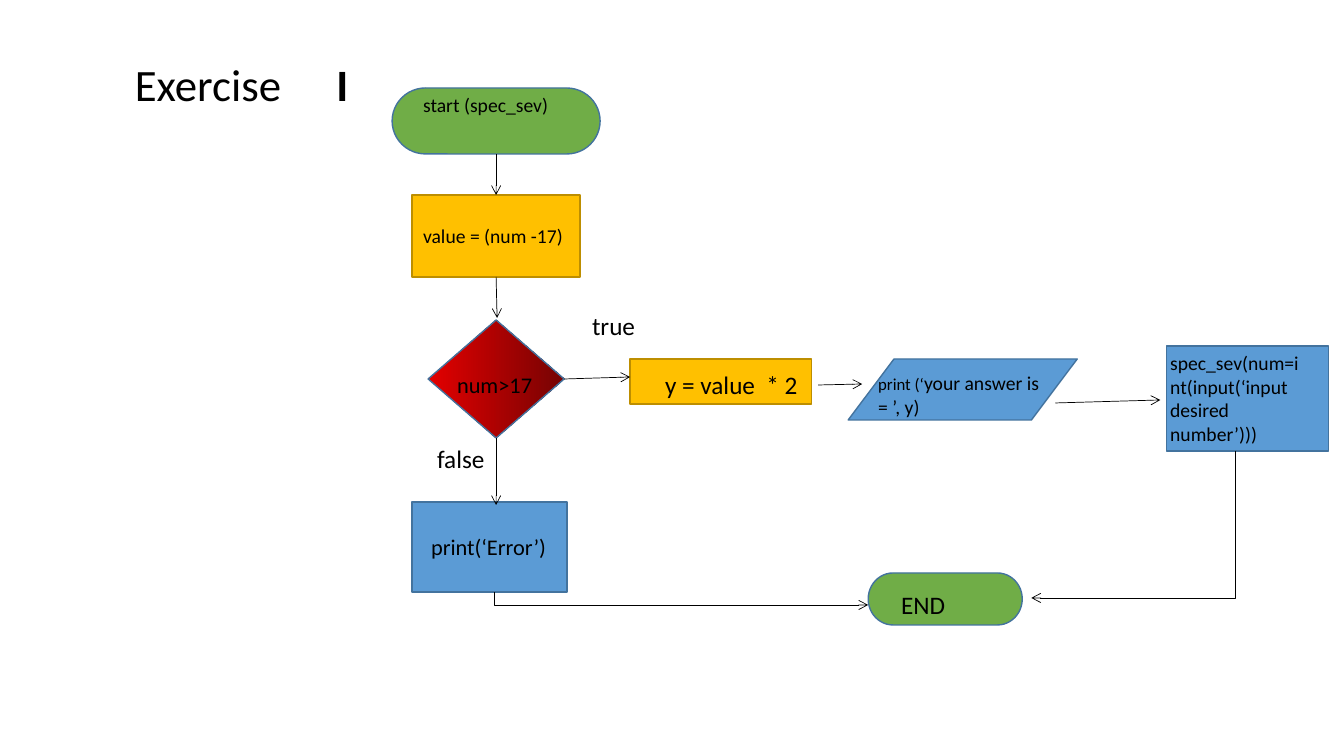
from lxml.etree import SubElement
from pptx import Presentation
from pptx.dml.color import RGBColor
from pptx.enum.shapes import MSO_CONNECTOR, MSO_SHAPE
from pptx.enum.text import MSO_ANCHOR, MSO_AUTO_SIZE, PP_ALIGN
from pptx.oxml.ns import qn
from pptx.util import Emu, Inches, Pt

BLACK = RGBColor(0, 0, 0)
RED = RGBColor(0xE3, 0, 0)
DARK = RGBColor(0x76, 0x03, 0x03)
GREEN = RGBColor(0x70, 0xAD, 0x47)
GOLD = RGBColor(0xFF, 0xC0, 0)
BLUE = RGBColor(0x5B, 0x9B, 0xD5)
NAVY = RGBColor(0x43, 0x73, 0x9E)
OCHRE = RGBColor(0xBD, 0x8E, 0)
FONT = "Calibri"

STEP = MSO_SHAPE.FLOWCHART_PROCESS
TEST = MSO_SHAPE.FLOWCHART_DECISION
END = MSO_SHAPE.FLOWCHART_TERMINATOR
PRINT = MSO_SHAPE.FLOWCHART_DATA

TITLE = [("Exercise \t", 32, False), ("I", 32, True)]
TITLE_BOX = (0, 0, 483, 116)

NODES = [
    (END, (392, 88, 208, 66), [GREEN], NAVY),
    (STEP, (412, 195, 168, 82), [GOLD], OCHRE),
    (TEST, (428, 320, 136, 118), [RED, DARK], NAVY),
    (STEP, (412, 502, 155, 90), [BLUE], NAVY),
    (STEP, (630, 359, 181, 45), [GOLD], OCHRE),
    (PRINT, (848, 359, 229, 61), [BLUE], NAVY),
    (STEP, (1166, 346, 162, 105), [BLUE], NAVY),
    (END, (868, 573, 154, 52), [GREEN], NAVY),
]

LABELS = [
    ([("start (spec_sev)", 14)], (413, 88, 168, 34)),
    ([("value = (num -17)", 14)], (413, 219, 168, 34)),
    ([("num>17", 16)], (447, 366, 118, 37)),
    ([("true", 18)], (582, 305, 79, 40)),
    ([("false", 18)], (427, 438, 72, 40)),
    ([("print(‘Error’)", 16)], (421, 528, 136, 37)),
    ([("y = value  * 2", 18)], (655, 364, 154, 40)),
    ([("print (‘", 12), ("your answer is = ’, y)", 14)], (868, 366, 194, 57)),
    ([("spec_sev(num=int(input(‘input desired number’)))", 14)],
     (1160, 346, 150, 105)),
    ([("END", 18)], (891, 584, 107, 40)),
]

ARROWS = [
    (496, 154, 496, 195),
    (496, 277, 497, 318),
    (564, 379, 630, 377),
    (496, 438, 496, 505),
    (818, 385, 862, 384),
    (1055, 403, 1160, 400),
]
BENDS = [(494, 592, 868, 605), (1235, 451, 1031, 598)]

SCALE = Inches(1) / 100.8


def px(*nums):
    return [Emu(round(n * SCALE)) for n in nums]


def write(frame, text, align=PP_ALIGN.LEFT, anchor=MSO_ANCHOR.TOP, space=1.0):
    frame.word_wrap = True
    frame.auto_size = MSO_AUTO_SIZE.NONE
    frame.vertical_anchor = anchor
    para = frame.paragraphs[0]
    para.alignment = align
    para.line_spacing = space
    for words, size, *bold in text:
        run = para.add_run()
        run.text = words
        run.font.name = FONT
        run.font.size = Pt(size)
        run.font.bold = any(bold)
        run.font.color.rgb = BLACK


def node(kind, box, tones, edge):
    shape = slide.shapes.add_shape(kind, *px(*box))
    shape.shadow.inherit = False
    if len(tones) > 1:
        shape.fill.gradient()
        shape.fill.gradient_angle = 0
        for stop, tone in zip(shape.fill.gradient_stops, tones):
            stop.color.rgb = tone
    else:
        shape.fill.solid()
        shape.fill.fore_color.rgb = tones[0]
    shape.line.color.rgb = edge
    shape.line.width = Pt(1)


def arrow(kind, ends):
    link = slide.shapes.add_connector(kind, *px(*ends))
    link.line.color.rgb = BLACK
    link.line.width = Pt(0.5)
    props = link._element.spPr
    SubElement(props.get_or_add_ln(), qn("a:tailEnd"), type="arrow")
    SubElement(props, qn("a:effectLst"))
    return props


def bend(x1, y1, x2, y2):
    mid_x, mid_y = (x1 + x2) / 2, (y1 + y2) / 2
    dx, dy = (x2 - x1) / 2, (y2 - y1) / 2
    ends = (mid_x - dy, mid_y + dx, mid_x + dy, mid_y - dx)
    props = arrow(MSO_CONNECTOR.ELBOW, ends)
    props.find(qn("a:xfrm")).set("rot", "5400000")
    props.find(qn("a:prstGeom")).set("prst", "bentConnector2")


deck = Presentation()
deck.slide_width, deck.slide_height = Inches(13.33), Inches(7.5)
slide = deck.slides.add_slide(deck.slide_layouts[5])

title = slide.shapes.title
title.left, title.top, title.width, title.height = px(*TITLE_BOX)
write(title.text_frame, TITLE, align=PP_ALIGN.CENTER,
      anchor=MSO_ANCHOR.BOTTOM, space=0.9)

for item in NODES:
    node(*item)
for ends in ARROWS:
    arrow(MSO_CONNECTOR.STRAIGHT, ends)
for ends in BENDS:
    bend(*ends)
for text, box in LABELS:
    write(slide.shapes.add_textbox(*px(*box)).text_frame, text)

deck.save("out.pptx")
